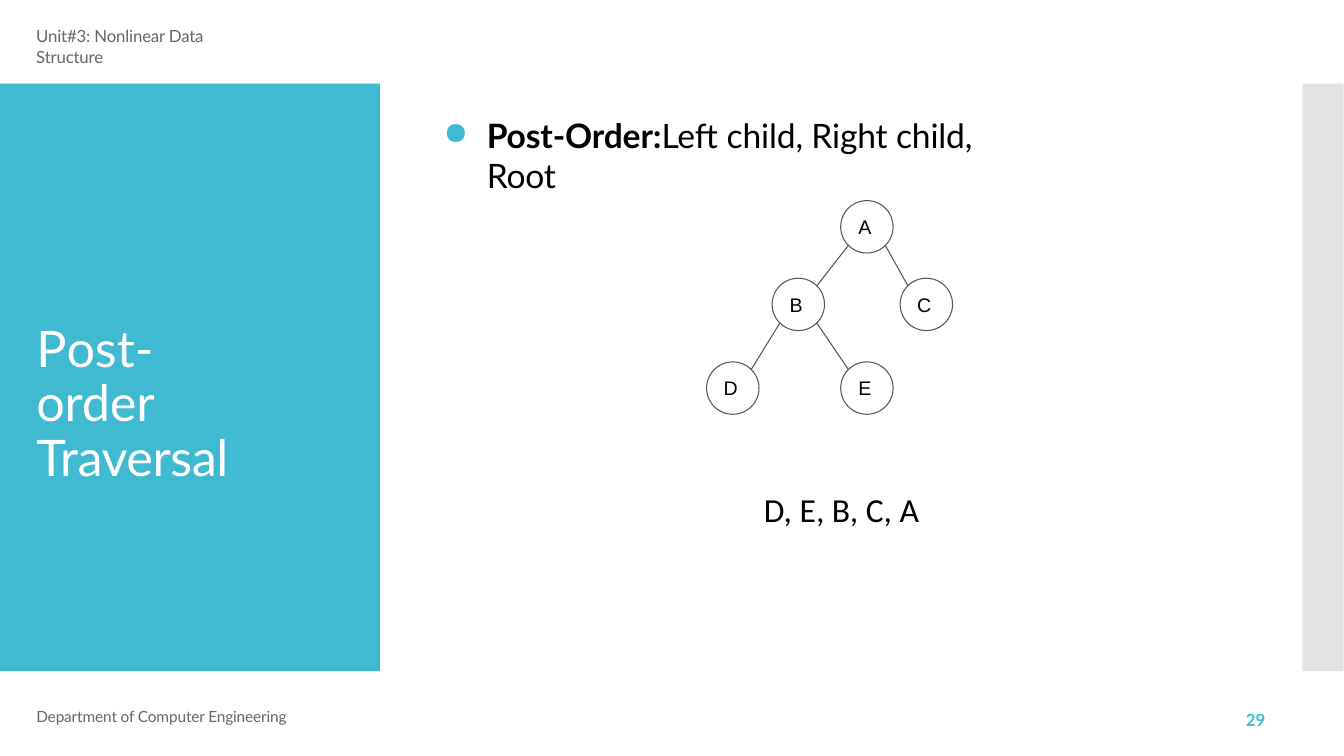
from lxml.etree import SubElement
from pptx import Presentation
from pptx.dml.color import RGBColor
from pptx.enum.shapes import MSO_CONNECTOR as Connector, MSO_SHAPE as Preset
from pptx.enum.text import MSO_ANCHOR as Anchor, MSO_AUTO_SIZE as AutoSize, PP_ALIGN as Align
from pptx.oxml.ns import qn
from pptx.util import Pt

EMU_PER_PX = 9144  # 100 px to the inch
COLORS = {"teal": "40BAD1", "band": "C8C8C8", "gray": "666666",
          "line": "545454", "white": "FFFFFF", "black": "000000"}
RADIUS = 26
EDGE_OFFSET = 18  # edges meet a circle on its diagonals
NODES = {"A": (860, 225), "B": (792, 302), "C": (919, 302),
         "D": (727, 385), "E": (860, 385)}
EDGES = ["AB", "AC", "BD", "BE"]


def px(*lengths):
    return [round(length * EMU_PER_PX) for length in lengths]


def rgb(name):
    return RGBColor.from_string(COLORS[name])


def apply(target, values):
    for name, value in values.items():
        setattr(target, name, value)


def set_text(shape, spans, size, font="Lato", color="black", margins=(0, 0, 0, 0),
             anchor=Anchor.TOP, wrap=True, **para_format):
    """Fill a shape with one paragraph of (text, bold, letter spacing) spans."""
    left, top, right, bottom = px(*margins)
    frame = shape.text_frame
    apply(frame, {"margin_left": left, "margin_top": top, "margin_right": right,
                  "margin_bottom": bottom, "word_wrap": wrap,
                  "auto_size": AutoSize.NONE, "vertical_anchor": anchor})
    para = frame.paragraphs[0]
    apply(para, {"alignment": Align.LEFT, **para_format})
    for text, bold, spacing in spans:
        span = para.add_run()
        span.text = text
        apply(span.font, {"size": Pt(size), "name": font, "bold": bold})
        span.font.color.rgb = rgb(color)
        if spacing:
            span.font._element.set("spc", str(round(spacing * 100)))
    return para


def add_text(page, place, spans, size, **options):
    box = page.shapes.add_textbox(*px(*place))
    return set_text(box, spans, size, **options)


def add_band(page, place, color, opacity=100):
    band = page.shapes.add_shape(Preset.RECTANGLE, *px(*place))
    band.shadow.inherit = False
    band.fill.solid()
    band.fill.fore_color.rgb = rgb(color)
    band.line.fill.background()
    if opacity < 100:
        tint = band._element.spPr.find(".//" + qn("a:srgbClr"))
        SubElement(tint, qn("a:alpha"), val=str(opacity * 1000))


def add_bullet(para, indent, hanging):
    props = para._p.get_or_add_pPr()
    left, first = px(indent, -hanging)
    props.set("marL", str(left))
    props.set("indent", str(first))
    color = SubElement(props, qn("a:buClr"))
    SubElement(color, qn("a:srgbClr"), val=COLORS["teal"])
    SubElement(props, qn("a:buSzPct"), val="92000")
    SubElement(props, qn("a:buChar"), char="●")


def add_node(page, label, x, y):
    place = px(x - RADIUS, y - RADIUS, 2 * RADIUS, 2 * RADIUS)
    node = page.shapes.add_shape(Preset.OVAL, *place)
    node.shadow.inherit = False
    node.fill.background()
    node.line.color.rgb = rgb("line")
    node.line.width = Pt(0.75)
    set_text(node, [(label, False, 0)], 14, font="Arial", margins=(0, 0, 4, 0),
             anchor=Anchor.MIDDLE, wrap=False, alignment=Align.CENTER)


def add_edge(page, parent, child):
    (x1, y1), (x2, y2) = NODES[parent], NODES[child]
    shift = EDGE_OFFSET if x2 > x1 else -EDGE_OFFSET
    ends = px(x1 + shift, y1 + EDGE_OFFSET, x2 - shift, y2 - EDGE_OFFSET)
    edge = page.shapes.add_connector(Connector.STRAIGHT, *ends)
    edge.line.color.rgb = rgb("line")
    edge.line.width = Pt(0.75)
    SubElement(edge._element.spPr, qn("a:effectLst"))


def add_title(page):
    title = page.shapes.title
    page.shapes._spTree.append(title._element)  # bring in front of the panel
    place = px(36, 312, 221, 117)
    apply(title, dict(zip(("left", "top", "width", "height"), place)))
    spans = [("P", False, -1.6), ("os", False, -0.1), ("t", False, -0.7),
             ("-order ", False, -0.1), ("Traversal", False, -0.3)]
    set_text(title, spans, 36, color="white", margins=(0, 8, 0, 0),
             line_spacing=Pt(39), space_before=Pt(5.8))


def main():
    deck = Presentation()
    deck.slide_width, deck.slide_height = px(1333.33, 750)
    page = deck.slides.add_slide(deck.slide_layouts[5])

    # Side panels and title
    add_band(page, (0, 83, 377, 583), "teal")
    add_band(page, (1292, 83, 41, 583), "band", opacity=50)
    add_title(page)

    # Header and definition
    opening = {"margins": (0, 1, 0, 0), "space_before": Pt(1)}
    add_text(page, (36, 25, 230, 23), [("Unit#3: Nonlinear Data Structure", False, -0.1)],
             12, color="gray", **opening)
    definition = add_text(page, (438, 113, 585, 43),
                          [("Post-Order:", True, -0.1),
                           ("Left child, Right child, ", False, -0.1),
                           ("Root", False, -0.2)], 24, **opening)
    add_bullet(definition, 45, 43)

    # Tree and its traversal
    for label, (x, y) in NODES.items():
        add_node(page, label, x, y)
    for parent, child in EDGES:
        add_edge(page, parent, child)
    add_text(page, (748, 480, 175, 50), [("D, E, B, C, A", False, 0)], 24,
             font="Calibri", margins=(10, 5, 10, 5), wrap=False)

    # Footer
    add_text(page, (36, 704, 249, 18), [("Department of Computer Engineering", False, -0.1)],
             11, color="gray", line_spacing=Pt(11.4))
    add_text(page, (1232, 707, 26, 19), [("29", True, 0)], 12, color="teal",
             margins=(4, 0, 0, 0), line_spacing=Pt(12.3))

    deck.save("out.pptx")


if __name__ == "__main__":
    main()
